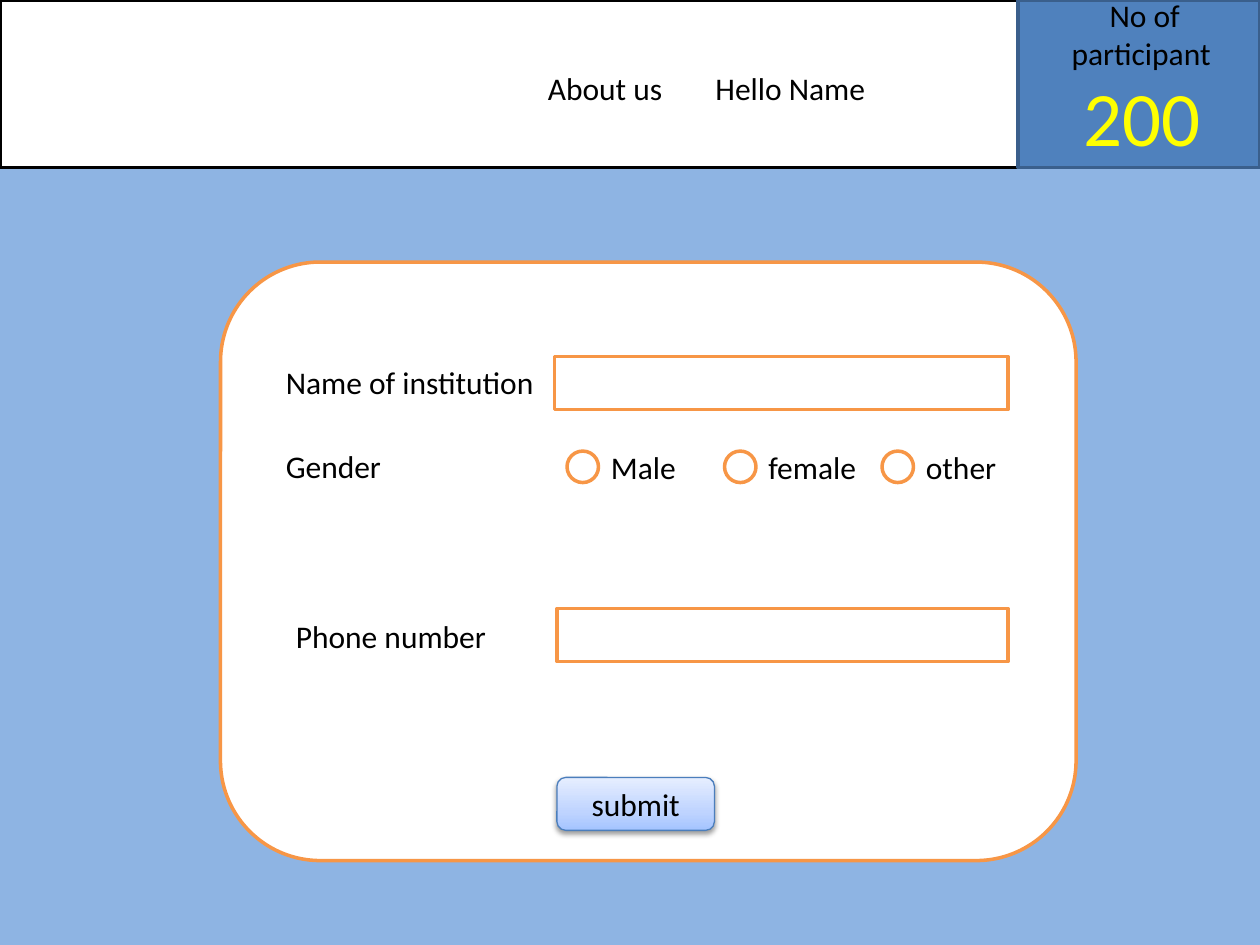
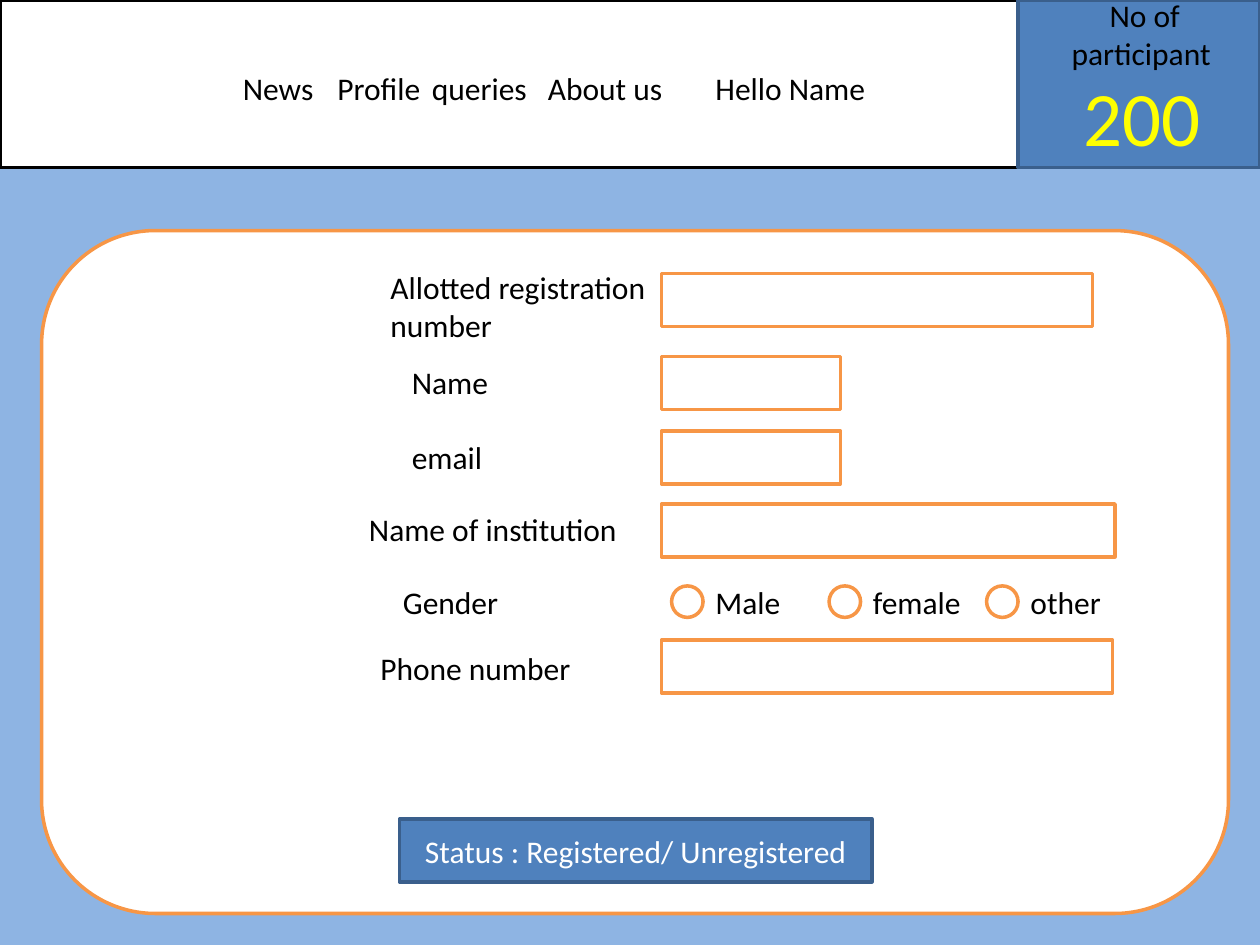
import copy
from dataclasses import dataclass

import pptx
import pptx.dml.color
import pptx.enum.dml
import pptx.enum.shapes
import pptx.enum.text
import pptx.oxml
import pptx.oxml.ns
import pptx.shapes.autoshape
import pptx.slide
import pptx.text.text
import pptx.util

Inches = pptx.util.Inches
RGBColor = pptx.dml.color.RGBColor
Kind = pptx.enum.shapes.MSO_SHAPE
Align = pptx.enum.text.PP_ALIGN

SKY = RGBColor(0x8E, 0xB4, 0xE3)
WHITE = RGBColor(0xFF, 0xFF, 0xFF)
BLACK = RGBColor(0x00, 0x00, 0x00)
ORANGE = RGBColor(0xF7, 0x96, 0x46)
BLUE = RGBColor(0x4F, 0x81, 0xBD)
NAVY = RGBColor(0x3A, 0x5F, 0x8C)
BUTTON_EDGE = RGBColor(0x4B, 0x7E, 0xBC)
YELLOW = RGBColor(0xFF, 0xFF, 0x00)
BUTTON_STOPS = (
    (0, RGBColor(0xA4, 0xC4, 0xFF)),
    (0.35, RGBColor(0xBF, 0xD4, 0xFF)),
    (1, RGBColor(0xE6, 0xEE, 0xFF)),
)

FONT = {"name": "Calibri", "size": pptx.util.Pt(18)}
FIELD_HEIGHT = 0.42
LINE_HEIGHT = 0.4
RADIO_SIZE = 0.25
RADIO_STEP = 1.25
GENDERS = ("Male", "female", "other")


@dataclass(frozen=True)
class Area:
    left: float
    top: float
    width: float
    height: float = LINE_HEIGHT

    def lengths(self) -> tuple:
        return tuple(Inches(value) for value in (self.left, self.top, self.width, self.height))


@dataclass(frozen=True)
class Label:
    text: str
    area: Area
    wrap: bool = False


@dataclass(frozen=True)
class Radios:
    left: float
    top: float
    text_top: float


@dataclass(frozen=True)
class Form:
    menu: tuple[Label, ...]
    card: Area
    labels: tuple[Label, ...]
    fields: tuple[Area, ...]
    radios: Radios


def apply_format(target: object, values: dict) -> None:
    for name, value in values.items():
        setattr(target, name, value)


def write(frame: pptx.text.text.TextFrame, text: str, color: RGBColor,
          align: int = Align.LEFT, **font: int) -> None:
    para = frame.paragraphs[0]
    para.alignment = align
    span = para.add_run()
    span.text = text
    apply_format(span.font, FONT | font)
    span.font.color.rgb = color


def add_label(page: pptx.slide.Slide, label: Label, color: RGBColor = BLACK,
              align: int = Align.LEFT, **font: int) -> None:
    box = page.shapes.add_textbox(*label.area.lengths())
    apply_format(box.text_frame, {
        "word_wrap": label.wrap,
        "auto_size": pptx.enum.text.MSO_AUTO_SIZE.SHAPE_TO_FIT_TEXT,
    })
    write(box.text_frame, label.text, color, align, **font)


def add_box(page: pptx.slide.Slide, area: Area, kind: int = Kind.RECTANGLE,
            fill: RGBColor = WHITE, line: RGBColor = ORANGE,
            weight: float = 2) -> pptx.shapes.autoshape.Shape:
    box = page.shapes.add_shape(kind, *area.lengths())
    box.fill.solid()
    box.fill.fore_color.rgb = fill
    box.line.color.rgb = line
    box.line.width = pptx.util.Pt(weight)
    box.shadow.inherit = False
    return box


def add_caption(box: pptx.shapes.autoshape.Shape, text: str, color: RGBColor) -> None:
    box.text_frame.vertical_anchor = pptx.enum.text.MSO_ANCHOR.MIDDLE
    write(box.text_frame, text, color, Align.CENTER)


def add_radios(page: pptx.slide.Slide, radios: Radios) -> None:
    for index, gender in enumerate(GENDERS):
        left = radios.left + index * RADIO_STEP
        add_box(page, Area(left, radios.top, RADIO_SIZE, RADIO_SIZE), Kind.OVAL)
        add_label(page, Label(gender, Area(left + RADIO_SIZE, radios.text_top, 0.92), True))


def add_header(page: pptx.slide.Slide, menu: tuple[Label, ...]) -> None:
    add_box(page, Area(0, 0, 10, 1.33), line=BLACK)
    add_box(page, Area(8.08, 0, 1.92, 1.33), fill=BLUE, line=NAVY)
    add_label(page, Label("No of participant ", Area(8.17, -0.08, 1.83, 0.71), True),
              align=Align.CENTER)
    add_label(page, Label("200", Area(8.5, 0.5, 1.5, 0.84), True), YELLOW,
              size=pptx.util.Pt(44))
    for label in menu:
        add_label(page, label)


def add_submit_button(page: pptx.slide.Slide) -> None:
    button = add_box(page, Area(4.42, 6.17, 1.25, FIELD_HEIGHT), Kind.ROUNDED_RECTANGLE,
                     line=BUTTON_EDGE, weight=0.75)
    button.fill.gradient()
    button.fill.gradient_angle = 90
    properties = button._element.spPr
    stop_list = properties.find(".//" + pptx.oxml.ns.qn("a:gsLst"))
    stop_list.append(copy.deepcopy(stop_list[-1]))
    for stop, (position, color) in zip(button.fill.gradient_stops, BUTTON_STOPS):
        stop.position = position
        stop.color.rgb = color
    effects = properties.find(pptx.oxml.ns.qn("a:effectLst"))
    effects.append(pptx.oxml.parse_xml(
        f'<a:outerShdw {pptx.oxml.ns.nsdecls("a")} blurRad="39370" dist="20320" '
        'dir="5400000" rotWithShape="0"><a:srgbClr val="000000">'
        '<a:alpha val="38000"/></a:srgbClr></a:outerShdw>'))
    add_caption(button, "submit", BLACK)


def add_status(page: pptx.slide.Slide) -> None:
    status = add_box(page, Area(3.17, 6.5, 3.75, 0.5), fill=BLUE, line=NAVY)
    add_caption(status, "Status : Registered/ Unregistered", WHITE)


def add_form(deck: pptx.presentation.Presentation, form: Form) -> pptx.slide.Slide:
    page = deck.slides.add_slide(deck.slide_layouts[6])
    page.background.fill.solid()
    page.background.fill.fore_color.rgb = SKY
    add_header(page, form.menu)
    add_box(page, form.card, Kind.ROUNDED_RECTANGLE)
    for field in form.fields:
        add_box(page, field)
    for label in form.labels:
        add_label(page, label)
    add_radios(page, form.radios)
    return page


def menu_item(text: str, left: float, width: float = 1.33) -> Label:
    return Label(text, Area(left, 0.5, width), True)


def field(left: float, top: float, width: float) -> Area:
    return Area(left, top, width, FIELD_HEIGHT)


VISITOR_MENU = (menu_item("About us", 4.25), menu_item("Hello Name", 5.58, 2.08))
MEMBER_MENU = (
    menu_item("News", 1.83),
    menu_item("Profile", 2.58),
    menu_item("queries", 3.33),
) + VISITOR_MENU

REGISTRATION = Form(
    menu=VISITOR_MENU,
    card=Area(1.75, 2.08, 6.79, 4.75),
    labels=(
        Label("Name of institution", Area(2.17, 2.83, 2.19)),
        Label("Gender", Area(2.17, 3.5, 0.97)),
        Label("Phone number", Area(2.25, 4.85, 1.73)),
    ),
    fields=(field(4.4, 2.83, 3.6), field(4.42, 4.83, 3.58)),
    radios=Radios(4.5, 3.58, 3.51),
)

PROFILE = Form(
    menu=MEMBER_MENU,
    card=Area(0.33, 1.83, 9.42, 5.42),
    labels=(
        Label("Allotted registration number", Area(3, 2.08, 2.42, 0.71), True),
        Label("Name", Area(3.17, 2.83, 0.81)),
        Label("email", Area(3.17, 3.43, 0.77)),
        Label("Name of institution", Area(2.83, 4, 2.19)),
        Label("Gender", Area(3.1, 4.58, 0.97)),
        Label("Phone number", Area(2.92, 5.1, 1.73)),
    ),
    fields=tuple(field(5.25, top, width) for top, width in (
        (2.17, 3.42), (2.83, 1.42), (3.42, 1.42), (4, 3.6), (5.08, 3.58))),
    radios=Radios(5.33, 4.65, 4.58),
)


def main() -> None:
    deck = pptx.Presentation()
    apply_format(deck, {"slide_width": Inches(10), "slide_height": Inches(7.5)})
    add_submit_button(add_form(deck, REGISTRATION))
    add_status(add_form(deck, PROFILE))
    deck.save("out.pptx")


main()
